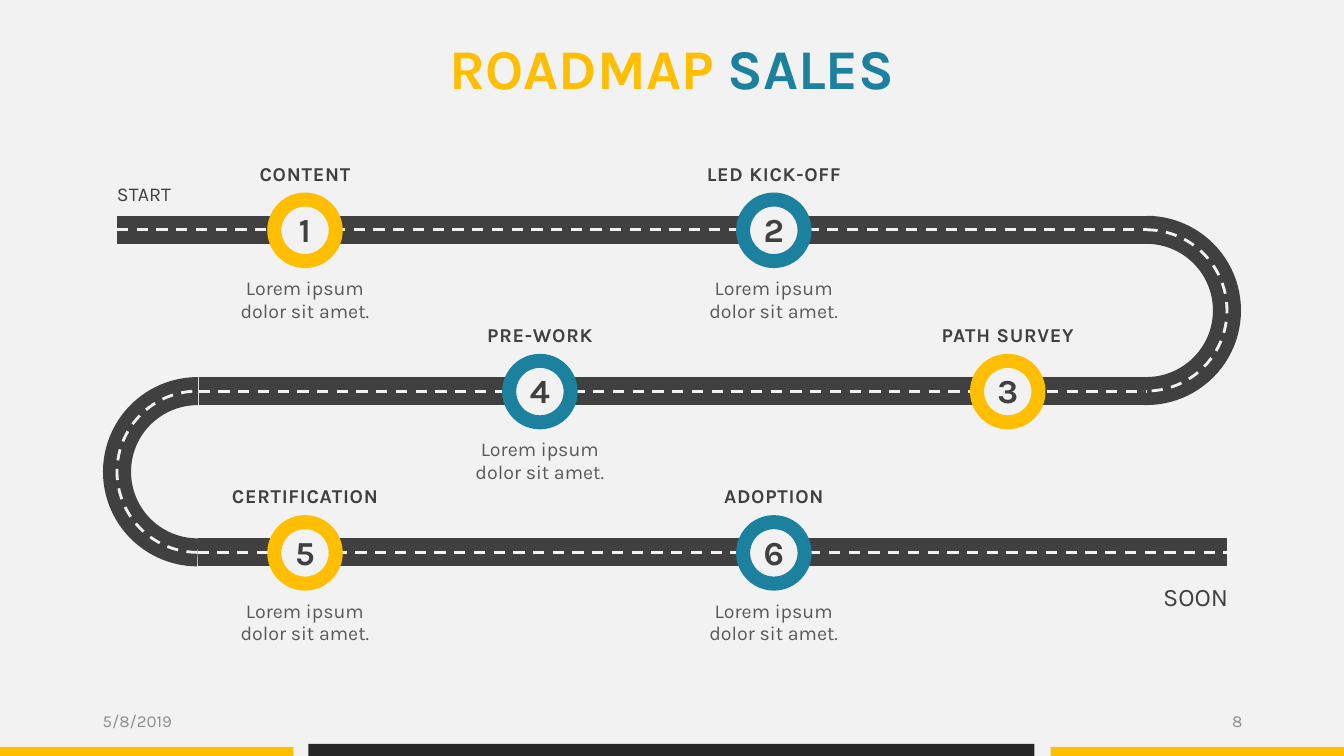
from lxml import etree
from pptx import Presentation
from pptx import util as u
from pptx.dml.color import RGBColor
from pptx.enum import dml, shapes, text
from pptx.oxml import ns

SCALE = 9144
FONT = "Karla"
GOLD, TEAL, DARK, PALE = "FFBE00", "1C819E", "404040", "F2F2F2"
GREY, MUTED, BLACK = "595959", "8C8C8C", "262626"
LEFT, MID, RIGHT = text.PP_ALIGN.LEFT, text.PP_ALIGN.CENTER, text.PP_ALIGN.RIGHT
ROWS = (228, 388, 548)
BEND = 160
STOPS = [
    ("1", "CONTENT", 302, 0, GOLD, True),
    ("2", "LED KICK-OFF", 767, 0, TEAL, True),
    ("4", "PRE-WORK", 535, 1, TEAL, True),
    ("3", "PATH SURVEY", 999, 1, GOLD, False),
    ("5", "CERTIFICATION", 302, 2, GOLD, True),
    ("6", "ADOPTION", 767, 2, TEAL, True),
]


def px(*vals):
    return [u.Emu(val * SCALE) for val in vals]


def tint(code):
    return RGBColor.from_string(code)


def paint(fill, code):
    fill.solid()
    fill.fore_color.rgb = tint(code)


def stroke(line, code, width, dash=False):
    paint(line.fill, code)
    line.width = u.Pt(width)
    if dash:
        line.dash_style = dml.MSO_LINE.DASH


def shape(slide, kind, box, fill=None):
    item = slide.shapes.add_shape(kind, *px(*box))
    item.shadow.inherit = False
    if fill:
        paint(item.fill, fill)
    else:
        item.fill.background()
    item.line.fill.background()
    return item


def label(slide, box, runs, size, align=MID, bold=False, lead=None,
          space=0, inset=(0, 0), middle=False, grow=True):
    frame = slide.shapes.add_textbox(*px(*box)).text_frame
    frame.word_wrap = True
    frame.margin_left = frame.margin_right = px(inset[0])[0]
    frame.margin_top = frame.margin_bottom = px(inset[1])[0]
    if middle:
        frame.vertical_anchor = text.MSO_ANCHOR.MIDDLE
    if grow:
        frame.auto_size = text.MSO_AUTO_SIZE.SHAPE_TO_FIT_TEXT
    para = frame.paragraphs[0]
    para.alignment = align
    if lead:
        para.line_spacing = u.Pt(lead)
    for words, code in runs:
        run = para.add_run()
        run.text = words
        run.font.name = FONT
        run.font.size = u.Pt(size)
        run.font.bold = bold
        run.font.color.rgb = tint(code)
        if space:
            run.font._element.set("spc", str(space))


def straight(slide, start, end, row, *pen):
    line = slide.shapes.add_connector(
        shapes.MSO_CONNECTOR.STRAIGHT, *px(start, row, end, row))
    stroke(line.line, *pen)
    etree.SubElement(line._element.spPr, ns.qn("a:effectLst"))


def curve(slide, left, top, turn, sweep, *pen):
    arc = shape(slide, shapes.MSO_SHAPE.ARC, (left, top, BEND, BEND))
    arc.adjustments[0] = 162
    arc.adjustments[1] = sweep
    arc.rotation = turn
    stroke(arc.line, *pen)


def road(slide, *pen):
    straight(slide, 116, 1138, ROWS[0], *pen)
    curve(slide, 1057, ROWS[0], 0, 55.34, *pen)
    straight(slide, 197, 1138, ROWS[1], *pen)
    curve(slide, 116, ROWS[1], 180, 54.22, *pen)
    straight(slide, 196, 1217, ROWS[2], *pen)


def stop(slide, num, name, mid, row, code, note):
    mark = ROWS[row]
    ring = shape(slide, shapes.MSO_SHAPE.OVAL, (mid - 30, mark - 30, 61, 61), PALE)
    stroke(ring.line, code, 10)
    label(slide, (mid - 21, mark - 9, 43, 29), [(num, DARK)], 24,
          bold=True, lead=20, space=50, middle=True)
    label(slide, (mid - 80, mark - 72, 161, 28), [(name, DARK)], 14,
          bold=True, lead=20, space=50)
    if note:
        label(slide, (mid - 71, mark + 47, 143, 45),
              [("Lorem ipsum dolor sit amet.", GREY)], 14, lead=16)


def main():
    deck = Presentation()
    deck.slide_width, deck.slide_height = px(1333, 750)
    slide = deck.slides.add_slide(deck.slide_layouts[6])
    paint(slide.background.fill, PALE)
    label(slide, (78, 33, 1177, 67), [("ROADMAP ", GOLD), ("SALES", TEAL)], 40, bold=True)
    for left, top, width, code in (
            (0, 741, 291, GOLD), (306, 738, 720, BLACK), (1042, 741, 291, GOLD)):
        shape(slide, shapes.MSO_SHAPE.RECTANGLE, (left, top, width, 750 - top), code)
    road(slide, DARK, 20)
    road(slide, PALE, 2, True)
    for item in STOPS:
        stop(slide, *item)
    label(slide, (116, 176, 99, 25), [("START", DARK)], 14, LEFT, lead=20)
    label(slide, (1119, 579, 99, 28), [("SOON", DARK)], 18, RIGHT, lead=20)
    for left, words, align in ((92, "5/8/2019", LEFT), (942, "8", RIGHT)):
        label(slide, (left, 695, 300, 40), [(words, MUTED)], 12, align,
              inset=(10, 5), middle=True, grow=False)
    deck.save("out.pptx")


if __name__ == "__main__":
    main()
